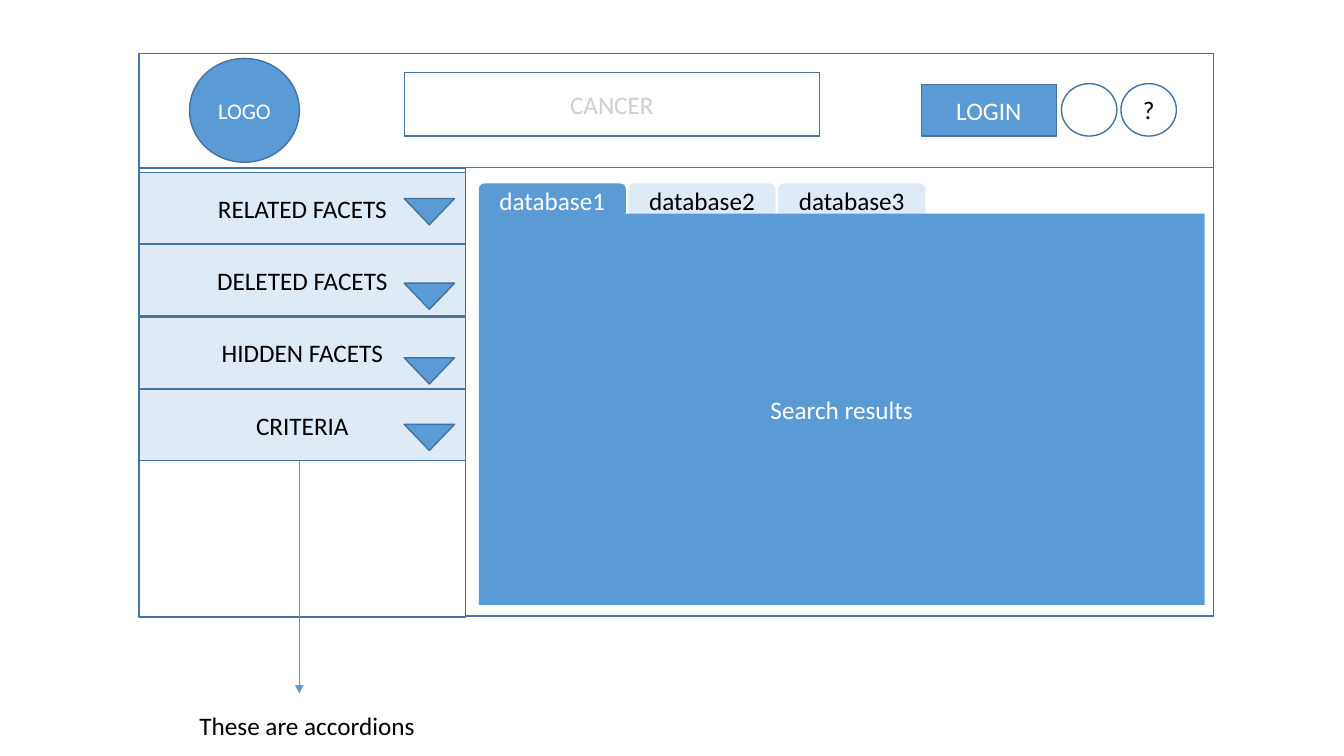
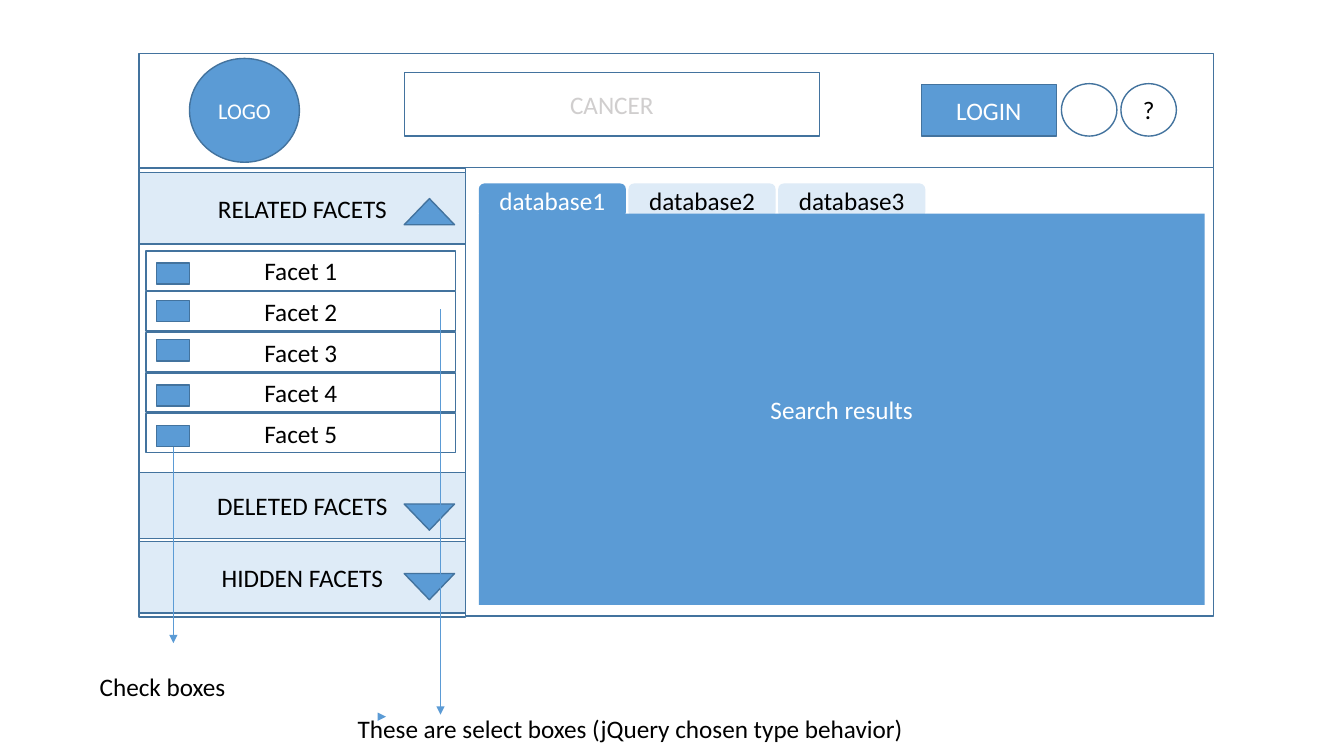
"""Build two wireframe slides of a faceted search page."""
import lxml.etree
import pptx
import pptx.dml.color
import pptx.enum.shapes
import pptx.enum.text
import pptx.oxml.ns
import pptx.util

BLUE = pptx.dml.color.RGBColor(0x5B, 0x9B, 0xD5)
OUTLINE = pptx.dml.color.RGBColor(0x43, 0x73, 0x9E)
PALE = pptx.dml.color.RGBColor(0xDE, 0xEB, 0xF7)
GREY = pptx.dml.color.RGBColor(0xD0, 0xCE, 0xCE)
WHITE = pptx.dml.color.RGBColor(0xFF, 0xFF, 0xFF)
BLACK = pptx.dml.color.RGBColor(0x00, 0x00, 0x00)

SHAPES = pptx.enum.shapes.MSO_SHAPE
COLUMN = ROW = pptx.util.Inches(0.1)
COLUMNS, ROWS = 133.33, 75
BLANK_LAYOUT = 6
PAGE_LEFT, PAGE_WIDTH = 13.8, 106.6
SIDEBAR_WIDTH = 32.4
ACCORDION_TOP, ACCORDION_HEIGHT, ACCORDION_PITCH = 17.1, 7.1, 7.17
TAB_LEFT, TAB_PITCH = 47.5, 14.85
FACET_TOP, FACET_PITCH = 24.9, 4.03


def set_attributes(target, values):
    for name, value in values.items():
        setattr(target, name, value)


class Wireframe:
    FONT = {"name": "Calibri", "size": pptx.util.Pt(18)}
    BOX_FRAME = {
        "word_wrap": True,
        "vertical_anchor": pptx.enum.text.MSO_ANCHOR.MIDDLE,
    }
    NOTE_FRAME = {
        "word_wrap": True,
        "auto_size": pptx.enum.text.MSO_AUTO_SIZE.SHAPE_TO_FIT_TEXT,
    }
    CENTRED = pptx.enum.text.PP_ALIGN.CENTER
    LEFT = pptx.enum.text.PP_ALIGN.LEFT

    def __init__(self):
        self.presentation = pptx.Presentation()
        set_attributes(self.presentation, {
            "slide_width": int(COLUMNS * COLUMN),
            "slide_height": int(ROWS * ROW),
        })
        self.slide = None

    def new_slide(self):
        layout = self.presentation.slide_layouts[BLANK_LAYOUT]
        self.slide = self.presentation.slides.add_slide(layout)

    def place(self, left, top, width, height):
        return int(left * COLUMN), int(top * ROW), int(width * COLUMN), int(height * ROW)

    def label(self, shape, text, frame, alignment, colour, **font):
        set_attributes(shape.text_frame, frame)
        paragraph = shape.text_frame.paragraphs[0]
        paragraph.alignment = alignment
        run = paragraph.add_run()
        run.text = text
        set_attributes(run.font, {**self.FONT, **font})
        run.font.color.rgb = colour

    def box(self, *area, text="", kind=SHAPES.RECTANGLE, fill=WHITE,
            outlined=True, colour=BLACK, **font):
        shape = self.slide.shapes.add_shape(kind, *self.place(*area))
        shape.shadow.inherit = False
        shape.fill.solid()
        shape.fill.fore_color.rgb = fill
        if outlined:
            shape.line.color.rgb = OUTLINE
            shape.line.width = pptx.util.Pt(1)
        else:
            shape.line.fill.background()
        if text:
            self.label(shape, text, self.BOX_FRAME, self.CENTRED, colour, **font)
        return shape

    def note(self, *area, text):
        shape = self.slide.shapes.add_textbox(*self.place(*area))
        self.label(shape, text, self.NOTE_FRAME, self.LEFT, BLACK)

    def arrow(self, *ends):
        connector = self.slide.shapes.add_connector(
            pptx.enum.shapes.MSO_CONNECTOR.STRAIGHT, *self.place(*ends))
        connector.line.color.rgb = BLUE
        connector.line.width = pptx.util.Pt(0.5)
        qn = pptx.oxml.ns.qn
        properties = connector.element.find(qn("p:spPr"))
        lxml.etree.SubElement(properties.find(qn("a:ln")), qn("a:tailEnd"), type="triangle")
        lxml.etree.SubElement(properties, qn("a:effectLst"))

    def accordion(self, text, top, height, marker_top, opened=False):
        self.box(PAGE_LEFT, top, SIDEBAR_WIDTH, height, text=text, fill=PALE)
        marker = self.box(40.1, marker_top, 5, 2.6, kind=SHAPES.DOWN_ARROW, fill=BLUE)
        marker.adjustments[0], marker.adjustments[1] = 0.23, 1
        marker.rotation = 180 if opened else 0

    def header(self):
        self.box(PAGE_LEFT, 5.3, PAGE_WIDTH, 11.3)
        self.box(PAGE_LEFT, 16.6, PAGE_WIDTH, 44.5)
        self.box(40.1, 7.2, 41.2, 6.3, text="CANCER", colour=GREY)
        self.box(18.8, 5.8, 10.9, 10.3, text="LOGO", kind=SHAPES.OVAL,
                 fill=BLUE, colour=WHITE, size=pptx.util.Pt(16))
        self.box(91.4, 8.4, 13.4, 5.1, text="LOGIN", fill=BLUE, colour=WHITE)
        for left, text in ((105.3, ""), (111.2, "?")):
            self.box(left, 8.3, 5.5, 5.2, text=text, kind=SHAPES.OVAL)
        self.box(PAGE_LEFT, 16.7, SIDEBAR_WIDTH, 44.5)

    def results(self):
        for index in range(3):
            fill, colour = (PALE, BLACK) if index else (BLUE, WHITE)
            self.box(TAB_LEFT + index * TAB_PITCH, 18.2, 14.6, 3.4,
                     text=f"database{index + 1}", kind=SHAPES.ROUNDED_RECTANGLE,
                     fill=fill, outlined=False, colour=colour)
        self.box(TAB_LEFT, 21.2, 72, 38.8, text="Search results",
                 fill=BLUE, outlined=False, colour=WHITE)

    def page(self, accordions):
        self.new_slide()
        self.header()
        for accordion in accordions:
            self.accordion(*accordion)
        self.results()

    def facets(self, checkbox_tops):
        for index in range(len(checkbox_tops)):
            self.box(14.5, FACET_TOP + index * FACET_PITCH, 30.7, 3.9,
                     text=f"Facet {index + 1}")
        for top in checkbox_tops:
            self.box(15.5, top, 3.3, 2.1, fill=BLUE)


def closed_slide(wireframe):
    headings = (("RELATED FACETS", 19.7), ("DELETED FACETS", 28.1),
                ("HIDDEN FACETS", 35.5), ("CRITERIA", 42.1))
    wireframe.page([
        (text, ACCORDION_TOP + index * ACCORDION_PITCH, ACCORDION_HEIGHT, marker_top)
        for index, (text, marker_top) in enumerate(headings)
    ])
    wireframe.arrow(29.7, 45.7, 29.7, 68.8)
    wireframe.note(18.8, 70, 28.7, 4, text="These are accordions")


def opened_slide(wireframe):
    wireframe.page((
        ("RELATED FACETS", ACCORDION_TOP, ACCORDION_HEIGHT, 19.7, True),
        ("DELETED FACETS", 46.9, 6.5, 50),
        ("HIDDEN FACETS", 53.7, ACCORDION_HEIGHT, 56.9),
    ))
    wireframe.facets((26.1, 29.8, 33.7, 38.2, 42.2))
    wireframe.arrow(43.7, 30.7, 43.7, 70.9)
    wireframe.note(34.5, 70.3, 61.6, 4,
                   text="These are select boxes (jQuery chosen type behavior)")
    wireframe.arrow(38.1, 71.1, 38.3, 71.1)
    wireframe.arrow(17.2, 44.3, 17.2, 63.8)
    wireframe.note(8.9, 66.1, 16.2, 4, text="Check boxes")


def main():
    wireframe = Wireframe()
    closed_slide(wireframe)
    opened_slide(wireframe)
    wireframe.presentation.save("out.pptx")


if __name__ == "__main__":
    main()
